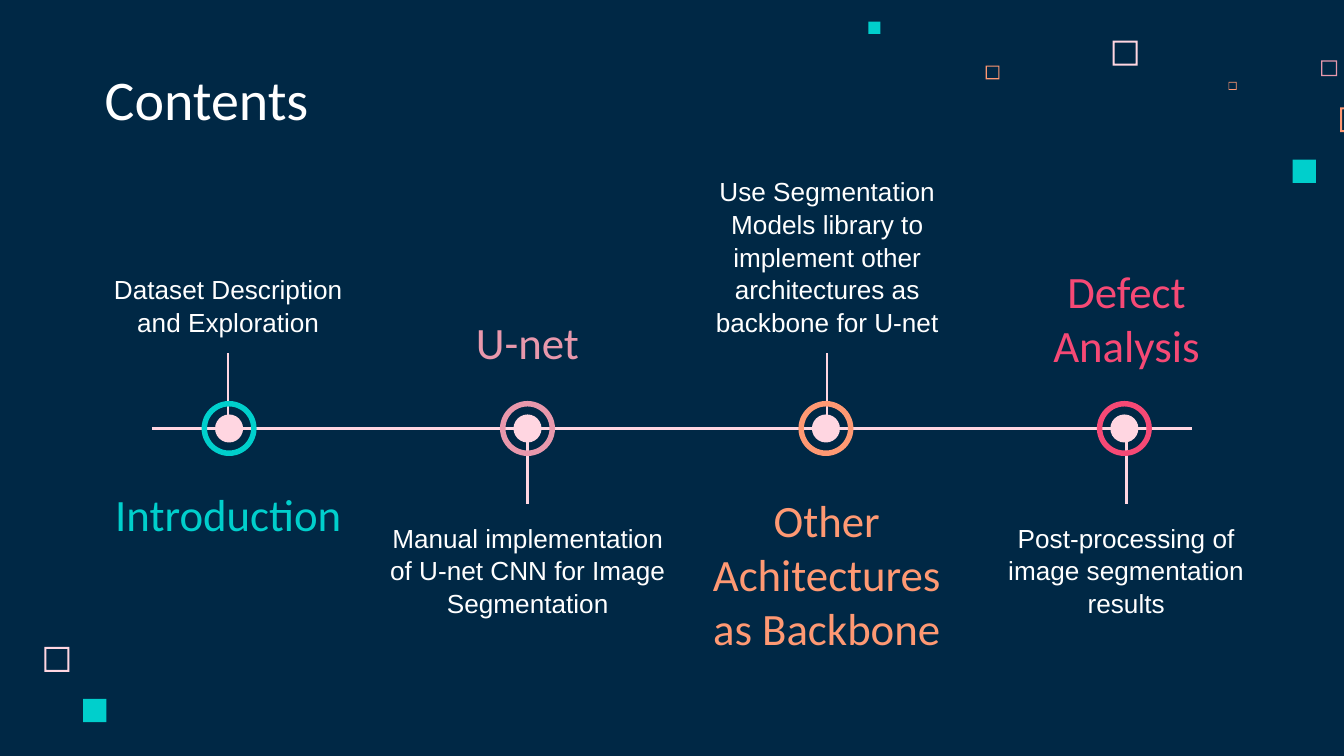
from dataclasses import dataclass

from lxml import etree
from pptx import Presentation
from pptx.dml.color import RGBColor
from pptx.enum.shapes import MSO_CONNECTOR, MSO_SHAPE
from pptx.enum.text import MSO_ANCHOR, PP_ALIGN
from pptx.oxml.ns import qn
from pptx.util import Cm, Pt

STRAIGHT = MSO_CONNECTOR.STRAIGHT
SQUARE, FRAME = MSO_SHAPE.RECTANGLE, MSO_SHAPE.FRAME
DOT, RING = MSO_SHAPE.OVAL, MSO_SHAPE.DONUT
TOP, MIDDLE, BOTTOM = MSO_ANCHOR.TOP, MSO_ANCHOR.MIDDLE, MSO_ANCHOR.BOTTOM
LEFT, CENTER = PP_ALIGN.LEFT, PP_ALIGN.CENTER


@dataclass(frozen=True)
class Theme:
    navy: str = "002845"
    white: str = "FFFFFF"
    blush: str = "FFD6E1"
    rose: str = "E898AC"
    orange: str = "FF9973"
    teal: str = "00CFCC"
    crimson: str = "F64975"
    heading_font: str = "Calibri"
    body_font: str = "Arial"
    title_size: int = 30
    heading_size: int = 24
    body_size: int = 14
    line_width: float = 1.5


theme = Theme()


def add_solid(kind, left, top, size, color, thickness=None):
    """Add an unoutlined square-sized shape; thickness is the rim's share of its size."""
    shape = page.shapes.add_shape(kind, Cm(left), Cm(top), Cm(size), Cm(size))
    shape.shadow.inherit = False
    shape.fill.solid()
    shape.fill.fore_color.rgb = RGBColor.from_string(color)
    shape.line.fill.background()
    if thickness is not None:
        shape.adjustments[0] = thickness


def add_text(bounds, text, font, size, color, anchor, align, spacing=1.0):
    box = page.shapes.add_textbox(*[Cm(length) for length in bounds])
    frame = box.text_frame
    frame.word_wrap = True
    frame.vertical_anchor = anchor
    frame.margin_left = frame.margin_right = Cm(0.25)
    frame.margin_top = frame.margin_bottom = Cm(0.25)
    para = frame.paragraphs[0]
    para.alignment = align
    para.line_spacing = spacing
    span = para.add_run()
    span.text = text
    span.font.name = font
    span.font.size = Pt(size)
    span.font.color.rgb = RGBColor.from_string(color)


deck = Presentation()
deck.slide_width, deck.slide_height = Cm(25.4), Cm(14.29)
page = deck.slides.add_slide(deck.slide_layouts[6])
page.background.fill.solid()
page.background.fill.fore_color.rgb = RGBColor.from_string(theme.navy)

# Scattered squares: left, top, size, colour
hollow_squares = [
    (21.03, 0.77, 0.47, theme.blush),
    (24.97, 1.14, 0.3, theme.rose),
    (23.22, 1.55, 0.15, theme.orange),
    (25.33, 2.03, 0.47, theme.orange),
    (18.63, 1.24, 0.26, theme.orange),
    (0.84, 12.23, 0.47, theme.blush),
]
filled_squares = [(24.43, 3.02, 0.44), (16.41, 0.41, 0.23), (1.57, 13.21, 0.44)]
for left, top, size, color in hollow_squares:
    add_solid(FRAME, left, top, size, color, thickness=0.08)
for left, top, size in filled_squares:
    add_solid(SQUARE, left, top, size, theme.teal)

# Timeline axis and stems, which alternate above and below it
axis_y = 8.1
lines = [(2.87, axis_y, 22.53, axis_y)]
for index in range(4):
    stem_x = 4.31 + 5.66 * index
    start, end = (6.68, 7.95) if index % 2 == 0 else (8.28, 9.53)
    lines.append((stem_x, start, stem_x, end))
for ends in lines:
    line = page.shapes.add_connector(STRAIGHT, *[Cm(length) for length in ends])
    line.line.color.rgb = RGBColor.from_string(theme.blush)
    line.line.width = Pt(theme.line_width)
    etree.SubElement(line._element.spPr, qn("a:effectLst"))

add_text((1.73, 1.14, 13.13, 1.6), "Contents", theme.heading_font,
         theme.title_size, theme.white, BOTTOM, LEFT)

# Milestones: colour, heading, heading bounds, detail, detail left and width
milestones = [
    (theme.teal, "Introduction", (1.9, 9.12, 4.83, 1.19),
     "Dataset Description and Exploration", 1.7, 5.23),
    (theme.rose, "U-net", (8.18, 5.87, 3.58, 1.19),
     "Manual implementation of U-net CNN for Image Segmentation", 7.04, 5.87),
    (theme.orange, "Other Achitectures as Backbone", (13.21, 9.17, 4.83, 3.35),
     "Use Segmentation Models library to implement other architectures "
     "as backbone for U-net", 12.7, 5.87),
    (theme.crimson, "Defect Analysis", (19.51, 5.41, 3.56, 1.19),
     "Post-processing of image segmentation results", 18.67, 5.23),
]
dot_size, ring_size = 0.53, 1.04
for index, (color, heading, bounds, detail, left, width) in enumerate(milestones):
    center_x = 4.33 + 5.64 * index
    add_solid(DOT, center_x - dot_size / 2, axis_y - dot_size / 2, dot_size, theme.blush)
    add_solid(RING, center_x - ring_size / 2, axis_y - ring_size / 2, ring_size,
              color, thickness=0.1)
    add_text(bounds, heading, theme.heading_font, theme.heading_size, color,
             MIDDLE, CENTER)
    detail_top, anchor = (4.83, BOTTOM) if index % 2 == 0 else (9.6, TOP)
    add_text((left, detail_top, width, 1.8), detail, theme.body_font,
             theme.body_size, theme.white, anchor, CENTER, spacing=1.04)

deck.save("out.pptx")
